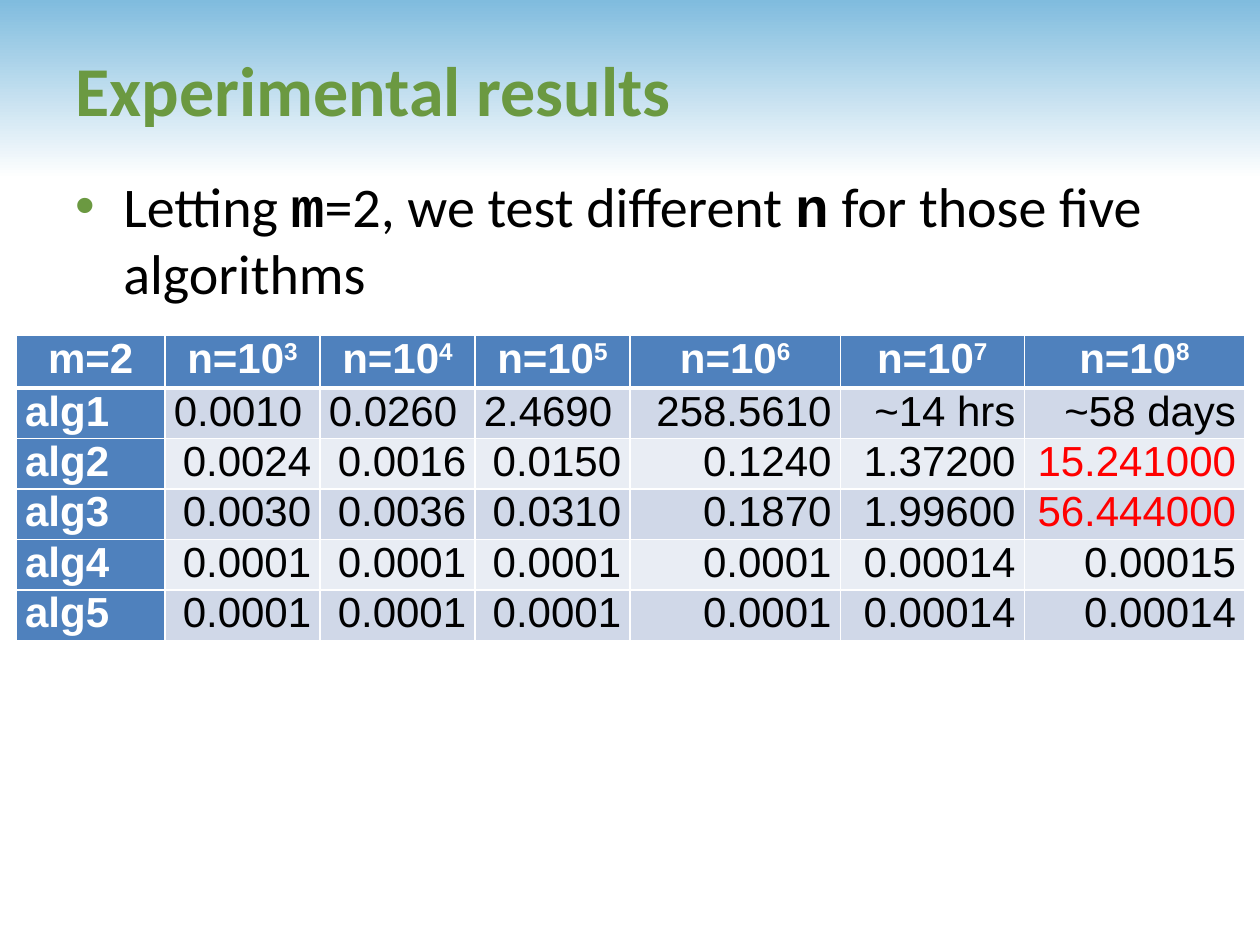
from dataclasses import dataclass

from lxml.etree import SubElement
from pptx import Presentation
from pptx.dml.color import RGBColor
from pptx.enum.shapes import MSO_SHAPE
from pptx.enum.text import MSO_ANCHOR, PP_ALIGN
from pptx.oxml.ns import qn
from pptx.util import Inches, Pt

COLORS = {
    "sky": "80BCDE", "white": "FFFFFF", "black": "000000", "green": "6B9941",
    "header": "4F81BD", "odd": "D0D8E8", "even": "E9EDF4", "red": "FF0000",
}
COLUMN_WIDTHS = [1.18, 1.23, 1.23, 1.23, 1.67, 1.46, 1.75]
ROW_HEIGHTS = [0.42, 0.36, 0.35, 0.35, 0.35, 0.35]
EXPONENTS = "345678"
RESULTS = [
    ["alg1", "0.0010", "0.0260", "2.4690", "258.5610", "~14 hrs", "~58 days"],
    ["alg2", "0.0024", "0.0016", "0.0150", "0.1240", "1.37200", "15.241000"],
    ["alg3", "0.0030", "0.0036", "0.0310", "0.1870", "1.99600", "56.444000"],
    ["alg4", "0.0001", "0.0001", "0.0001", "0.0001", "0.00014", "0.00015"],
    ["alg5", "0.0001", "0.0001", "0.0001", "0.0001", "0.00014", "0.00014"],
]
SLOW_RESULTS = {"15.241000", "56.444000"}


@dataclass
class Span:
    text: str
    font: str
    size: float
    color: str = "black"
    bold: bool = False
    superscript: bool = False


@dataclass
class CellStyle:
    fill: str
    align: PP_ALIGN
    bottom_border: float = 1


def rgb(name: str) -> RGBColor:
    return RGBColor.from_string(COLORS[name])


def add_spans(para, spans: list[Span]) -> None:
    for span in spans:
        run = para.add_run()
        run.text = span.text
        run.font.name = span.font
        run.font.size = Pt(span.size)
        run.font.bold = span.bold
        run.font.color.rgb = rgb(span.color)
        if span.superscript:
            run.font._element.set("baseline", "30000")


def add_bullet(para, indent: float) -> None:
    properties = para._p.get_or_add_pPr()
    properties.set("marL", str(Inches(indent)))
    properties.set("indent", str(-Inches(indent)))
    color = SubElement(properties, qn("a:buClr"))
    SubElement(color, qn("a:srgbClr"), val=COLORS["green"])
    SubElement(properties, qn("a:buFont"), typeface="Arial")
    SubElement(properties, qn("a:buChar"), char="•")


def set_borders(cell, bottom: float) -> None:
    """Draw white borders; they must come before the fill in the cell's XML."""
    properties = cell._tc.get_or_add_tcPr()
    for side, width in (("L", 1), ("R", 1), ("T", 1), ("B", bottom)):
        line = SubElement(properties, qn(f"a:ln{side}"), w=str(Pt(width)))
        fill = SubElement(line, qn("a:solidFill"))
        SubElement(fill, qn("a:srgbClr"), val=COLORS["white"])


def fill_cell(cell, spans: list[Span], style: CellStyle) -> None:
    set_borders(cell, style.bottom_border)
    cell.fill.solid()
    cell.fill.fore_color.rgb = rgb(style.fill)
    cell.margin_left = cell.margin_right = Inches(0.07)
    cell.margin_top = cell.margin_bottom = 0
    para = cell.text_frame.paragraphs[0]
    para.alignment = style.align
    add_spans(para, spans)


def add_sky_band(page) -> None:
    band = page.shapes.add_shape(MSO_SHAPE.RECTANGLE, 0, 0, Inches(10), Inches(1.42))
    band.shadow.inherit = False
    band.line.fill.background()
    band.fill.gradient()
    band.fill.gradient_angle = 270
    for stop, color in zip(band.fill.gradient_stops, ("sky", "white")):
        stop.color.rgb = rgb(color)
    page.shapes.title.element.addprevious(band.element)


def format_title(page) -> None:
    title = page.shapes.title
    title.left, title.top = Inches(0.5), Inches(0.08)
    title.width, title.height = Inches(9.08), Inches(1.25)
    title.text_frame.vertical_anchor = MSO_ANCHOR.MIDDLE
    para = title.text_frame.paragraphs[0]
    para.alignment = PP_ALIGN.LEFT
    add_spans(para, [Span("Experimental results", "Calibri", 40, "green", True)])


def add_statement(page) -> None:
    box = page.shapes.add_textbox(Inches(0.5), Inches(1.31), Inches(9.08), Inches(4.5))
    box.text_frame.word_wrap = True
    para = box.text_frame.paragraphs[0]
    add_bullet(para, 0.38)
    add_spans(para, [
        Span("Letting ", "Calibri", 32),
        Span("m", "Courier New", 32, bold=True),
        Span("=2, we test different ", "Calibri", 32),
        Span("n", "Courier New", 32, bold=True),
        Span(" for those five algorithms", "Calibri", 32),
    ])


def add_results_table(page) -> None:
    table = page.shapes.add_table(
        len(ROW_HEIGHTS), len(COLUMN_WIDTHS),
        Inches(0.13), Inches(2.66), Inches(9.73), Inches(2.42),
    ).table
    table.first_col = True
    for column, width in zip(table.columns, COLUMN_WIDTHS):
        column.width = Inches(width)
    for row, height in zip(table.rows, ROW_HEIGHTS):
        row.height = Inches(height)

    header_style = CellStyle("header", PP_ALIGN.CENTER, bottom_border=3)
    fill_cell(table.cell(0, 0), [Span("m=2", "Arial", 24, "white", True)], header_style)
    for column, exponent in enumerate(EXPONENTS, start=1):
        fill_cell(table.cell(0, column), [
            Span("n=10", "Arial", 24, "white", True),
            Span(exponent, "Arial", 24, "white", True, superscript=True),
        ], header_style)

    for row, (name, *values) in enumerate(RESULTS, start=1):
        fill_cell(table.cell(row, 0), [Span(name, "Arial", 24, "white", True)],
                  CellStyle("header", PP_ALIGN.LEFT))
        for column, value in enumerate(values, start=1):
            left_aligned = row == 1 and column <= 3
            style = CellStyle("odd" if row % 2 else "even",
                              PP_ALIGN.LEFT if left_aligned else PP_ALIGN.RIGHT)
            color = "red" if value in SLOW_RESULTS else "black"
            fill_cell(table.cell(row, column), [Span(value, "Arial", 24, color)], style)


def main() -> None:
    deck = Presentation()
    deck.slide_width, deck.slide_height = Inches(10), Inches(7.5)
    page = deck.slides.add_slide(deck.slide_layouts[5])
    add_sky_band(page)
    format_title(page)
    add_statement(page)
    add_results_table(page)
    deck.save("out.pptx")


if __name__ == "__main__":
    main()
